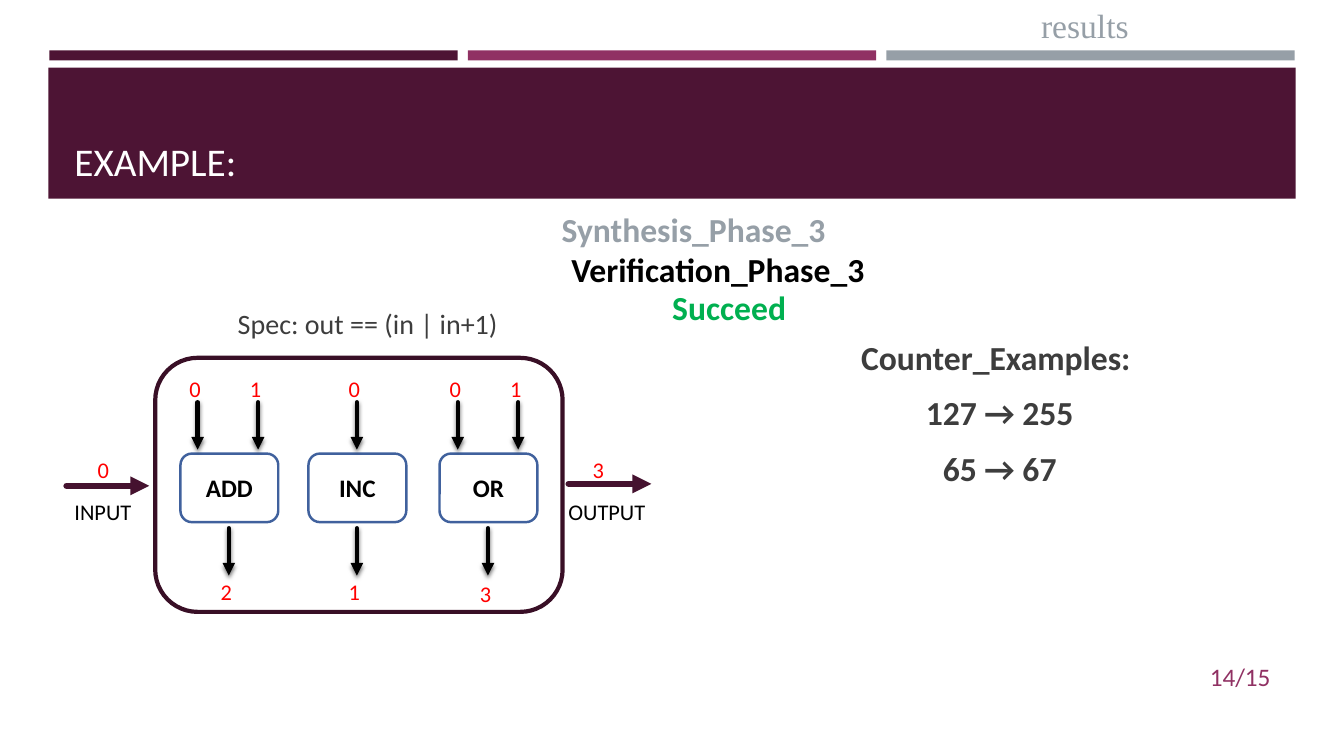
from collections import namedtuple
from lxml import etree
from pptx import Presentation
from pptx import util as u
from pptx.dml.color import RGBColor
from pptx.enum import shapes, text
from pptx.oxml.ns import qn

COLORS = {
    "plum": "4D1434", "berry": "903163", "gray": "969FA7", "white": "FFFFFF",
    "black": "000000", "ink": "3D3D3D", "red": "FF0000", "green": "00B050",
    "blue": "40619D", "frame": "390F26", "flow": "45122F",
}
ALIGN = {"left": text.PP_ALIGN.LEFT, "center": text.PP_ALIGN.CENTER, "right": text.PP_ALIGN.RIGHT}
ANCHOR = {"top": text.MSO_ANCHOR.TOP, "middle": text.MSO_ANCHOR.MIDDLE, "bottom": text.MSO_ANCHOR.BOTTOM}
Box = namedtuple("Box", "left top width height")
Operation = namedtuple("Operation", "name left inputs result result_top")

OPERATIONS = [
    Operation("ADD", 0.25, [(0.42, "0"), (1.02, "1")], "2", 2.14),
    Operation("INC", 1.52, [(2.0, "0")], "1", 2.14),
    Operation("OR", 2.82, [(3.0, "0"), (3.6, "1")], "3", 2.16),
]


def rgb(name):
    return RGBColor.from_string(COLORS[name])


def inches(box):
    return [u.Inches(value) for value in box]


def write(frame, lines, size=16, color="black", bold=False, align="left", anchor="top",
          font="Calibri", before=0, after=0, wrap=True):
    frame.word_wrap = wrap
    frame.vertical_anchor = ANCHOR[anchor]
    for index, line in enumerate(lines):
        para = frame.paragraphs[0] if index == 0 else frame.add_paragraph()
        para.alignment = ALIGN[align]
        para.space_before = u.Pt(before)
        para.space_after = u.Pt(after)
        span = para.add_run()
        span.text = line
        span.font.name = font
        span.font.size = u.Pt(size)
        span.font.bold = bold
        span.font.color.rgb = rgb(color)
    return frame


def add_text(page, box, *lines, **style):
    return write(page.shapes.add_textbox(*inches(box)).text_frame, lines, **style)


def add_block(page, box, fill=None, line=None, weight=1, kind=shapes.MSO_SHAPE.RECTANGLE):
    block = page.shapes.add_shape(kind, *inches(box))
    block.shadow.inherit = False
    if fill:
        block.fill.solid()
        block.fill.fore_color.rgb = rgb(fill)
    else:
        block.fill.background()
    if line:
        block.line.color.rgb = rgb(line)
        block.line.width = u.Pt(weight)
    else:
        block.line.fill.background()
    return block


def add_arrow(page, start, end, color, weight, shadow=False):
    arrow = page.shapes.add_connector(shapes.MSO_CONNECTOR.STRAIGHT, *inches(start + end))
    arrow.line.color.rgb = rgb(color)
    arrow.line.width = u.Pt(weight)
    outline = arrow.line._get_or_add_ln()
    outline.set("cap", "rnd")
    etree.SubElement(outline, qn("a:tailEnd"), type="triangle")
    effects = etree.SubElement(arrow._element.spPr, qn("a:effectLst"))
    if shadow:
        outer = etree.SubElement(effects, qn("a:outerShdw"), blurRad=str(u.Pt(3)),
                                 dist=str(u.Pt(2)), dir="5400000", rotWithShape="0")
        tint = etree.SubElement(outer, qn("a:srgbClr"), val=COLORS["black"])
        etree.SubElement(tint, qn("a:alpha"), val="55000")


def add_header(page, box):
    for index, color in enumerate(("plum", "berry", "gray")):
        add_block(page, Box(box.left + 0.01 + index * 4.15, box.top, 4.05, 0.1), color)
    add_block(page, Box(box.left, box.top + 0.17, box.width, 1.3), "plum")
    add_text(page, Box(box.left + 0.16, box.top + 0.27, 12.06, 1.11), "EXAMPLE:",
             size=28, color="white", anchor="bottom")
    add_text(page, Box(box.left + 8.92, 0, 2.72, 0.5), "results",
             size=24, color="gray", align="center", font="Times New Roman")


def add_phases(page, box):
    shift = 0.48
    phases = add_text(page, Box(box.left, box.top, box.width - shift, 0.82),
                      "Synthesis_Phase_3", "Verification_Phase_3",
                      size=24, bold=True, align="center", anchor="middle")
    synthesis, verification = phases.paragraphs
    synthesis.runs[0].font.color.rgb = rgb("gray")
    verification._p.get_or_add_pPr().set("marL", str(u.Inches(shift)))
    add_text(page, Box(box.left + 0.15, box.top + 0.58, box.width, 0.82), "Succeed ",
             size=24, color="green", bold=True, align="center", anchor="middle")


def add_digit(page, left, top, digit):
    add_text(page, Box(left, top, 0.31, 0.37), digit, color="red", wrap=False)


def add_operation(page, box, operation):
    left = box.left + operation.left
    block = add_block(page, Box(left, box.top + 0.95, 0.97, 0.68), "white", "blue", 1.75,
                      shapes.MSO_SHAPE.ROUNDED_RECTANGLE)
    write(block.text_frame, [operation.name], size=18, bold=True, align="center", anchor="middle")
    for offset, digit in operation.inputs:
        middle = box.left + offset
        add_arrow(page, (middle, box.top + 0.44), (middle, box.top + 0.91), "black", 3, True)
        add_digit(page, middle - 0.18, box.top + 0.12, digit)
    middle = left + 0.48
    add_arrow(page, (middle, box.top + 1.69), (middle, box.top + 2.16), "black", 3, True)
    add_digit(page, middle - 0.18, box.top + operation.result_top, operation.result)


def add_circuit(page, box):
    add_text(page, Box(box.left + 0.72, box.top - 0.75, 3.67, 0.82), "Spec: out == (in | in+1)",
             size=20, color="ink", anchor="middle")
    for operation in OPERATIONS:
        add_operation(page, box, operation)
    add_block(page, box, line="frame", weight=3, kind=shapes.MSO_SHAPE.ROUNDED_RECTANGLE)
    right = box.left + box.width
    ports = [
        (box.left - 0.88, 1.27, "INPUT", box.left - 0.9, "0", 0.21),
        (right + 0.06, 1.25, "OUTPUT", right - 0.04, "3", 0.14),
    ]
    for start, level, label, label_left, digit, digit_shift in ports:
        height = box.top + level
        add_arrow(page, (start, height), (start + 0.82, height), "flow", 4.5)
        add_text(page, Box(label_left, box.top + 1.34, 1.16, 0.37), label)
        add_digit(page, start + digit_shift, box.top + 0.93, digit)


def add_counter_examples(page, box):
    add_text(page, box, "Counter_Examples: ", "127 → 255", "65 → 67",
             size=24, color="ink", bold=True, align="center", before=4.8, after=6)


def add_page_number(page, box):
    add_text(page, box, "14/15", size=18, color="berry", align="right", anchor="middle")


def main():
    deck = Presentation()
    deck.slide_width, deck.slide_height = u.Inches(13.33), u.Inches(7.5)
    page = deck.slides.add_slide(deck.slide_layouts[6])
    add_header(page, Box(0.48, 0.5, 12.37, 1.47))
    add_phases(page, Box(4.51, 2.06, 5.22, 1.4))
    add_circuit(page, Box(1.54, 3.55, 4.04, 2.52))
    add_counter_examples(page, Box(6.97, 3.29, 5.89, 2.77))
    add_page_number(page, Box(11.55, 6.51, 1.15, 0.4))
    deck.save("out.pptx")


if __name__ == "__main__":
    main()
